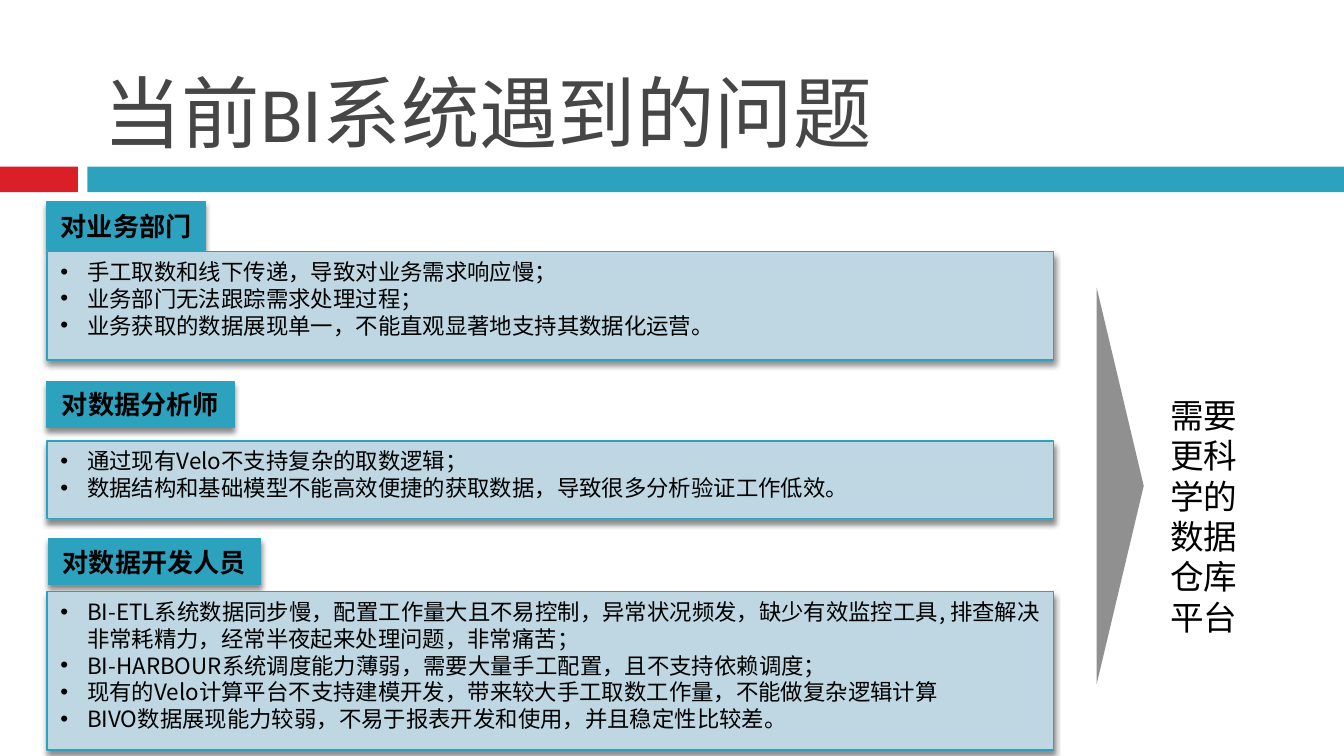
from lxml import etree
from pptx import Presentation
from pptx.dml.color import RGBColor
from pptx.enum import shapes, text
from pptx.oxml import ns
from pptx.util import Inches, Pt

SANS = "Noto Sans CJK SC"
TEAL, PALE, RED, GREY = "2DA2BF", "BED7E2", "DA1F28", "909090"
GROUPS = [
    ("对业务部门", (0.35, 1.5, 1.18, 0.36), (0.35, 1.87, 7.49, 0.81), [
        "手工取数和线下传递，导致对业务需求响应慢；",
        "业务部门无法跟踪需求处理过程；",
        "业务获取的数据展现单一，不能直观显著地支持其数据化运营。"]),
    ("对数据分析师", (0.35, 2.84, 1.39, 0.34), (0.35, 3.28, 7.49, 0.58), [
        "通过现有Velo不支持复杂的取数逻辑；",
        "数据结构和基础模型不能高效便捷的获取数据，导致很多分析验证工作低效。"]),
    ("对数据开发人员", (0.36, 4.01, 1.58, 0.34), (0.35, 4.4, 7.49, 1.18), [
        "BI-ETL系统数据同步慢，配置工作量大且不易控制，异常状况频发，缺少有效监控工具, "
        "排查解决非常耗精力，经常半夜起来处理问题，非常痛苦；",
        "BI-HARBOUR系统调度能力薄弱，需要大量手工配置，且不支持依赖调度；",
        "现有的Velo计算平台不支持建模开发，带来较大手工取数工作量，不能做复杂逻辑计算",
        "BIVO数据展现能力较弱，不易于报表开发和使用，并且稳定性比较差。"]),
]


def paint(code):
    return RGBColor.from_string(code)


def child(node, tag, **attrs):
    item = etree.SubElement(node, ns.qn(tag))
    for key, value in attrs.items():
        item.set(key, str(value))
    return item


def write(shape, lines, size, font=SANS, color="000000", bold=False, wrap=True,
          align=text.PP_ALIGN.LEFT, anchor=text.MSO_ANCHOR.TOP, bullet=False):
    frame = shape.text_frame
    frame.word_wrap = wrap
    frame.vertical_anchor = anchor
    for i, line in enumerate(lines):
        para = frame.add_paragraph() if i else frame.paragraphs[0]
        para.alignment = align
        para.line_spacing = Pt(size * 1.2)
        if bullet:
            props = para._p.get_or_add_pPr()
            props.set("marL", str(Inches(0.2)))
            props.set("indent", str(Inches(-0.2)))
            child(props, "a:buFont", typeface="Arial")
            child(props, "a:buChar", char="•")
        run = para.add_run()
        run.text = line
        run.font.size = Pt(size)
        run.font.bold = bold
        run.font.name = font
        run.font.color.rgb = paint(color)
        child(run._r.get_or_add_rPr(), "a:ea", typeface=SANS)


def block(slide, box, fill, kind=shapes.MSO_SHAPE.RECTANGLE):
    shape = slide.shapes.add_shape(kind, *map(Inches, box))
    shape.shadow.inherit = False
    shape.fill.solid()
    shape.fill.fore_color.rgb = paint(fill)
    shape.line.fill.background()
    return shape


def panel(slide, box, fill):
    shape = block(slide, box, fill)
    shape.line.color.rgb = paint(TEAL)
    shape.line.width = Pt(0.79)
    effects = shape._element.spPr.find(ns.qn("a:effectLst"))
    shade = child(effects, "a:outerShdw", blurRad=Pt(3), dist=Pt(2.4),
                  dir=90 * 60000, rotWithShape=0)
    child(child(shade, "a:srgbClr", val="000000"), "a:alpha", val=45000)
    return shape


def header(slide, box):
    left, top, width, height = box
    block(slide, (left, top, 0.58, height), RED)
    block(slide, (left + 0.65, top, width - 0.65, height), TEAL)
    title = slide.shapes.title
    title.left, title.top = Inches(left + 0.67), Inches(top - 1.11)
    title.width, title.height = Inches(8.92), Inches(1.1)
    write(title, ["当前BI系统遇到的问题"], 42, font="Calibri", color="464646",
          anchor=text.MSO_ANCHOR.BOTTOM)


def group(slide, name, tab, box, points):
    write(panel(slide, tab, TEAL), [name], 14, bold=True, wrap=False,
          align=text.PP_ALIGN.CENTER, anchor=text.MSO_ANCHOR.MIDDLE)
    write(panel(slide, box, PALE), points, 12, bullet=True)


def result(slide, box):
    left, top, width, height = box
    thick = 0.35
    arrow = block(slide, (left + (thick - height) / 2, top + (height - thick) / 2,
                          height, thick), GREY, shapes.MSO_SHAPE.ISOSCELES_TRIANGLE)
    arrow.rotation = 90
    note = slide.shapes.add_textbox(Inches(left + width - 0.79), Inches(top + 0.75),
                                    Inches(0.79), Inches(1.92))
    write(note, ["需要更科学的数据仓库平台"], 18)


def main():
    deck = Presentation()
    deck.slide_width = Inches(10)
    deck.slide_height = deck.slide_width * 9 // 16
    slide = deck.slides.add_slide(deck.slide_layouts[5])
    header(slide, (0, 1.24, 10, 0.19))
    for item in GROUPS:
        group(slide, *item)
    result(slide, (8.16, 2.14, 1.24, 2.95))
    deck.save("out.pptx")


if __name__ == "__main__":
    main()
